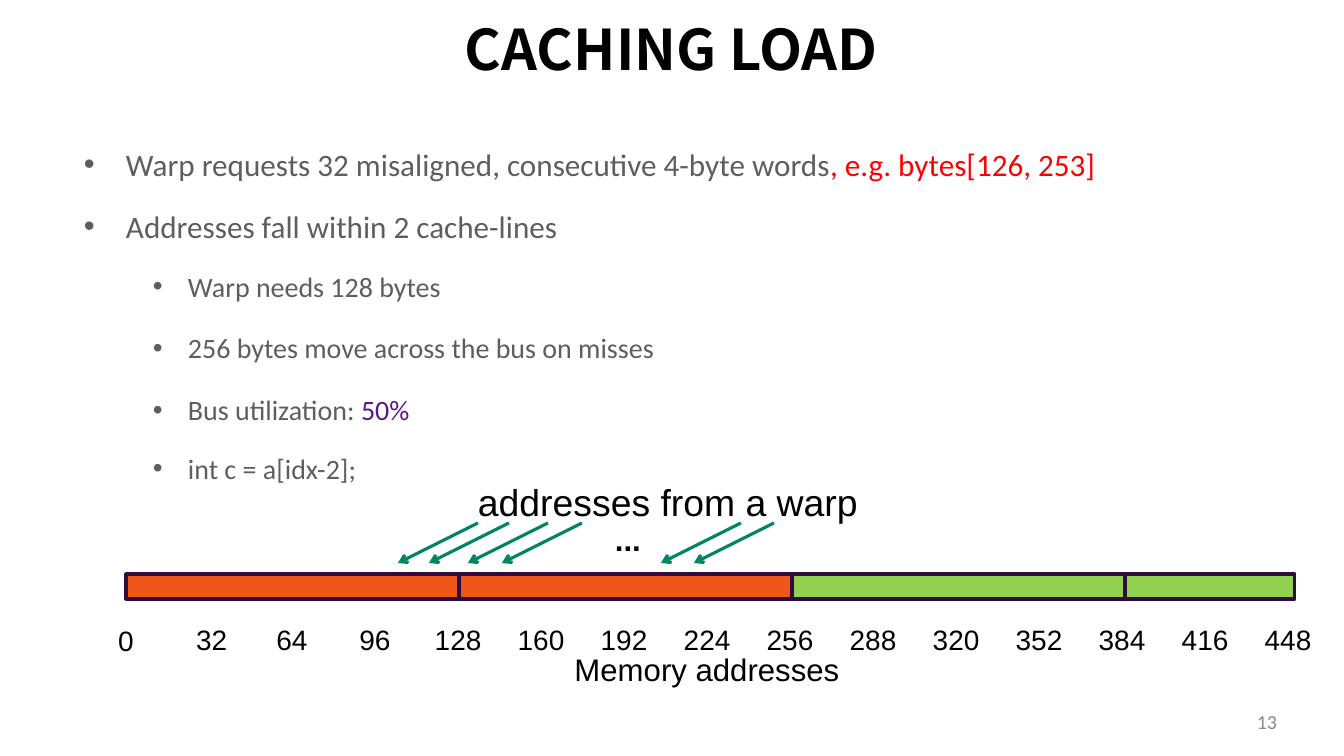
from dataclasses import dataclass

from lxml import etree
from pptx import Presentation
from pptx.dml.color import RGBColor
from pptx.enum.shapes import MSO_CONNECTOR, MSO_SHAPE
from pptx.enum.text import MSO_ANCHOR, PP_ALIGN
from pptx.oxml.ns import qn
from pptx.util import Pt


@dataclass(frozen=True)
class Theme:
    heading: str = "Noto Sans CJK SC"
    body: str = "Calibri"
    label: str = "Arial"
    black: str = "000000"
    grey: str = "5E5E5E"
    pale: str = "898989"
    red: str = "FF0000"
    purple: str = "5D1682"
    outline: str = "2E0B41"
    orange: str = "EF5619"
    green: str = "92D050"
    arrow: str = "008564"
    title_pt: float = 36
    caption_pt: float = 24
    text_pt: float = 20
    small_pt: float = 18
    number_pt: float = 12.8


T = Theme()
SCALE = 914400 / 112


def px(n):
    return round(n * SCALE)


def add_text(s, box, anchor=MSO_ANCHOR.TOP):
    """Add a wrapping text box without margins and return its text frame."""
    tf = s.shapes.add_textbox(*map(px, box)).text_frame
    fmt = dict(word_wrap=True, vertical_anchor=anchor, margin_left=0,
               margin_right=0, margin_top=0, margin_bottom=0)
    for name, value in fmt.items():
        setattr(tf, name, value)
    return tf


prs = Presentation()
prs.slide_width, prs.slide_height = px(1344), px(756)
s = prs.slides.add_slide(prs.slide_layouts[6])

# Bulleted text: level, space before, runs of text and colour
bullets = [
    (0, 0, [("Warp requests 32 misaligned, consecutive 4-byte words", T.grey),
            (", e.g. bytes[126, 253]", T.red)]),
    (0, 16, [("Addresses fall within 2 cache-lines", T.grey)]),
    (1, 16, [("Warp needs 128 bytes", T.grey)]),
    (1, 18, [("256 bytes move across the bus on misses", T.grey)]),
    (1, 18, [("Bus utilization: ", T.grey), ("50%", T.purple)]),
    (1, 16, [("int c = a[idx-2];", T.grey)]),
]
levels = [(44, 42, T.text_pt), (106, 35, T.small_pt)]  # margin, hanging, size
tf = add_text(s, (82, 145, 1103, 345))
for i, (level, before, runs) in enumerate(bullets):
    margin, hanging, size = levels[level]
    p = tf.paragraphs[0] if i == 0 else tf.add_paragraph()
    p.level = level
    if before:
        p.space_before = Pt(before)
    pPr = p._p.get_or_add_pPr()
    pPr.set("marL", str(px(margin)))
    pPr.set("indent", str(-px(hanging)))
    etree.SubElement(pPr, qn("a:buFont"), typeface=T.label)
    etree.SubElement(pPr, qn("a:buChar"), char="•")
    for text, colour in runs:
        r = p.add_run()
        r.text = text
        r.font.name, r.font.size = T.body, Pt(size)
        r.font.color.rgb = RGBColor.from_string(colour)

# Memory bar: three full cache lines and a part of a fourth
LEFT, LINE, END = 126, 333, 1295
for i, colour in enumerate([T.orange, T.orange, T.green, T.green]):
    x = LEFT + i * LINE
    sp = s.shapes.add_shape(MSO_SHAPE.RECTANGLE, px(x), px(574),
                            px(min(LINE, END - x)), px(25))
    sp.shadow.inherit = False
    sp.fill.solid()
    sp.fill.fore_color.rgb = RGBColor.from_string(colour)
    sp.line.color.rgb = RGBColor.from_string(T.outline)
    sp.line.width = Pt(2)

# Arrows from the warp down to the addresses
for x in (398, 429, 468, 502, 661, 694):
    c = s.shapes.add_connector(MSO_CONNECTOR.STRAIGHT, px(x + 80), px(523),
                               px(x), px(563))
    c.line.color.rgb = RGBColor.from_string(T.arrow)
    c.line.width = Pt(2)
    etree.SubElement(c.line._get_or_add_ln(), qn("a:tailEnd"), type="arrow")
    etree.SubElement(c._element.spPr, qn("a:effectLst"))

# Single lines of text; the address row has one centred tab per label
TICKS_X, STEP = 196, 83
ticks = [str(32 * i) for i in range(1, 15)]
tick_row = "\t".join(ticks)
L, C, R = PP_ALIGN.LEFT, PP_ALIGN.CENTER, PP_ALIGN.RIGHT
lines = [
    ("CACHING LOAD", (92, 13, 1159, 70), C, T.heading, T.title_pt, True, T.black),
    ("addresses from a warp", (478, 480, 420, 43), L, T.label, T.caption_pt, False, T.black),
    ("...", (615, 521, 40, 36), L, T.label, T.text_pt, True, T.black),
    ("0", (116, 624, 20, 32), C, T.label, T.small_pt, False, T.black),
    (tick_row, (TICKS_X, 623, 1119, 32), L, T.label, T.small_pt, False, T.black),
    ("Memory addresses", (557, 651, 300, 36), C, T.label, T.text_pt, False, T.black),
    ("13", (963, 702, 314, 40), R, T.body, T.number_pt, False, T.pale),
]
for text, box, align, font, size, bold, colour in lines:
    p = add_text(s, box, MSO_ANCHOR.MIDDLE).paragraphs[0]
    p.alignment = align
    if text == tick_row:
        tabs = etree.SubElement(p._p.get_or_add_pPr(), qn("a:tabLst"))
        for i in range(2, len(ticks) + 1):
            pos = px(LEFT + i * STEP - TICKS_X)
            etree.SubElement(tabs, qn("a:tab"), pos=str(pos), algn="ctr")
    r = p.add_run()
    r.text = text
    for name, value in dict(name=font, size=Pt(size), bold=bold).items():
        setattr(r.font, name, value)
    r.font.color.rgb = RGBColor.from_string(colour)

prs.save("out.pptx")
